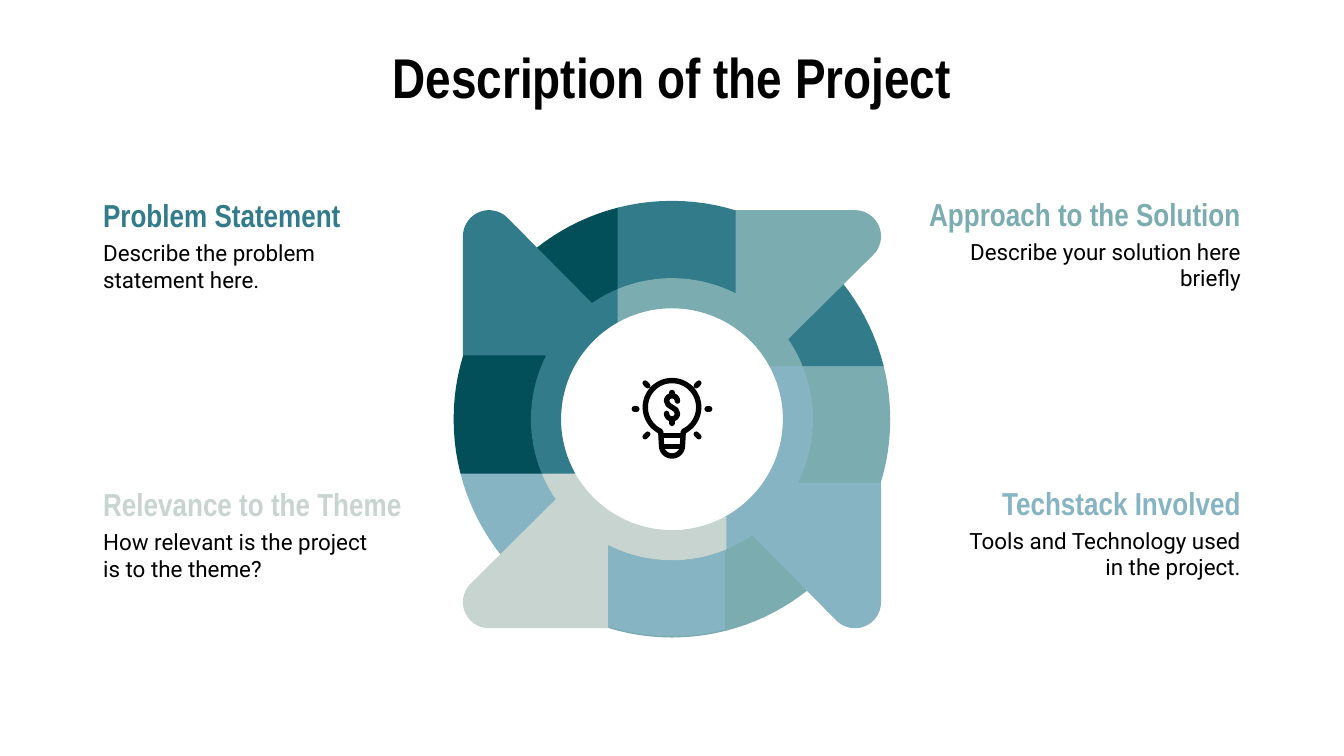
import math

import pptx
import pptx.dml.color
import pptx.enum.shapes
import pptx.enum.text
import pptx.oxml.ns
import pptx.util
from lxml import etree

Pt = pptx.util.Pt
RGBColor = pptx.dml.color.RGBColor
ALIGN = pptx.enum.text.PP_ALIGN

BLACK = RGBColor(0x00, 0x00, 0x00)
DARK = RGBColor(0x02, 0x4F, 0x59)
TEAL = RGBColor(0x32, 0x7B, 0x8A)
SAGE = RGBColor(0x7B, 0xAC, 0xB0)
BLUE = RGBColor(0x86, 0xB4, 0xC2)
PALE = RGBColor(0xC7, 0xD4, 0xCF)

TITLE = "Description of the Project"
# heading, body, heading top, on the right, quarter turns, arrow, band, band edge
SECTIONS = [
    ("Techstack Involved", "Tools and Technology used in the project.",
     252, True, 2, BLUE, SAGE, SAGE),
    ("Relevance to the Theme", "How relevant is the project is to the theme?",
     252.7, False, 3, PALE, BLUE, SAGE),
    ("Problem Statement", "Describe the problem statement here.",
     97.9, False, 0, TEAL, DARK, DARK),
    ("Approach to the Solution", "Describe your solution here briefly",
     97.2, True, 1, SAGE, TEAL, TEAL),
]

RING_CENTER = (360, 224.6)
OUTER, MIDDLE, INNER = 116.6, 75.2, 59.8
SEAM, SHOULDER = 28.8, 34.5
TIP_CENTER, TIP_RADIUS, HEAD_EDGE = (-98, -98), 13.6, -111.6
NOTCH_ANGLE, DIAGONAL_ANGLE = 235.2, 231.5

BULB_CENTER = (360, 218.2)
STROKE = 2.9
SIDES = (-1, 1)
BULB_LINES = [((-5.6, 15), (5.6, 15)), ((-5.6, 21), (5.6, 21)),
              ((0, -7.9), (0, -6.2)), ((0, 6.2), (0, 8.6))]
RAYS = [((20.2, 0.9), (18.8, 0.9)), ((14.4, -13), (13, -11.5)),
        ((14.4, 15.8), (13, 14.4))]

LEFT, RIGHT = 48.2, 671.8
HEADING_WIDTH, BODY_WIDTH = 213, 160.6


def arc(radius, start, end, center=(0, 0)):
    steps = max(2, math.ceil(abs(end - start) / 3))
    angles = [math.radians(start + (end - start) * i / steps) for i in range(steps + 1)]
    return [(center[0] + radius * math.cos(a), center[1] + radius * math.sin(a))
            for a in angles]


def lean(distance, radius):
    return math.degrees(math.asin(distance / radius))


def tail(radius):
    return 180 - lean(SEAM, radius)


def shoulder(radius):
    return 180 + lean(SHOULDER, radius)


def front(radius):
    return 270 - lean(SEAM, radius)


BAND = arc(OUTER, shoulder(OUTER), tail(OUTER)) + arc(MIDDLE, tail(MIDDLE), shoulder(MIDDLE))
FRONT = (arc(OUTER, front(OUTER), DIAGONAL_ANGLE)
         + arc(MIDDLE, NOTCH_ANGLE, front(MIDDLE)))
ARROW = (arc(TIP_RADIUS, 315, 180, TIP_CENTER) + [(HEAD_EDGE, -SHOULDER)]
         + arc(MIDDLE, shoulder(MIDDLE), tail(MIDDLE))
         + arc(INNER, tail(INNER), front(INNER))
         + arc(MIDDLE, front(MIDDLE), NOTCH_ANGLE))
BULB = arc(14.3, 115, 425) + arc(5.6, 0, 180, (0, 20.5))
DOLLAR = (arc(2.9, 0, -180, (0, -3.3)) + [(-2, -1.3), (2, 1.3)]
          + arc(2.9, 0, 180, (0, 3.3)))


def turn(points, quarters):
    for _ in range(quarters):
        points = [(-y, x) for x, y in points]
    return points


def place(points, center):
    return [(Pt(center[0] + x), Pt(center[1] + y)) for x, y in points]


def add_outline(page, points, center, closed=True):
    spots = place(points, center)
    builder = page.shapes.build_freeform(*spots[0], scale=1.0)
    builder.add_line_segments(spots[1:], close=closed)
    shape = builder.convert_to_shape()
    shape.shadow.inherit = False
    return shape


def add_piece(page, points, fill, edge):
    shape = add_outline(page, points, RING_CENTER)
    shape.fill.solid()
    shape.fill.fore_color.rgb = fill
    shape.line.color.rgb = edge
    shape.line.width = Pt(0.75)


def ink(shape):
    shape.line.color.rgb = BLACK
    shape.line.width = Pt(STROKE)
    shape._element.spPr.find(pptx.oxml.ns.qn("a:ln")).set("cap", "rnd")


def add_stroke(page, start, end):
    begin, finish = place((start, end), BULB_CENTER)
    line = page.shapes.add_connector(
        pptx.enum.shapes.MSO_CONNECTOR.STRAIGHT, *begin, *finish)
    ink(line)
    etree.SubElement(line._element.spPr, pptx.oxml.ns.qn("a:effectLst"))


def add_text(page, text, left, top, width, height, font, size, color, bold, align):
    box = page.shapes.add_textbox(Pt(left), Pt(top), Pt(width), Pt(height))
    frame = box.text_frame
    frame.word_wrap = True
    frame.margin_left = frame.margin_right = Pt(7.2)
    frame.margin_top = frame.margin_bottom = Pt(7.2)
    para = frame.paragraphs[0]
    para.text = text
    para.alignment = align
    para.font.name = font
    para.font.size = Pt(size)
    para.font.bold = bold
    para.font.color.rgb = color


def add_section(page, heading, body, top, on_right, quarters, color, band, edge):
    align = ALIGN.RIGHT if on_right else ALIGN.LEFT
    heading_left = RIGHT - HEADING_WIDTH if on_right else LEFT
    body_left = RIGHT - BODY_WIDTH if on_right else LEFT
    add_text(page, heading, heading_left, top, HEADING_WIDTH, 23,
             "Arial Narrow", 17, color, True, align)
    add_text(page, body, body_left, top + 23, BODY_WIDTH, 54.7,
             "Roboto", 12, BLACK, False, align)
    add_piece(page, turn(BAND, quarters), band, edge)
    add_piece(page, turn(FRONT, quarters), band, band)
    add_piece(page, turn(ARROW, quarters), color, color)


def add_bulb(page):
    for points, closed in ((BULB, True), (DOLLAR, False)):
        shape = add_outline(page, points, BULB_CENTER, closed)
        shape.fill.background()
        ink(shape)
    for start, end in BULB_LINES:
        add_stroke(page, start, end)
    for side in SIDES:
        for start, end in RAYS:
            add_stroke(page, (side * start[0], start[1]), (side * end[0], end[1]))


def main():
    deck = pptx.Presentation()
    deck.slide_width, deck.slide_height = Pt(720), Pt(405)
    page = deck.slides.add_slide(deck.slide_layouts[6])
    add_text(page, TITLE, 182.2, 15.8, 355.7, 49, "Arial Narrow", 30, BLACK, True,
             ALIGN.CENTER)
    for section in SECTIONS:
        add_section(page, *section)
    add_bulb(page)
    deck.save("out.pptx")


if __name__ == "__main__":
    main()
